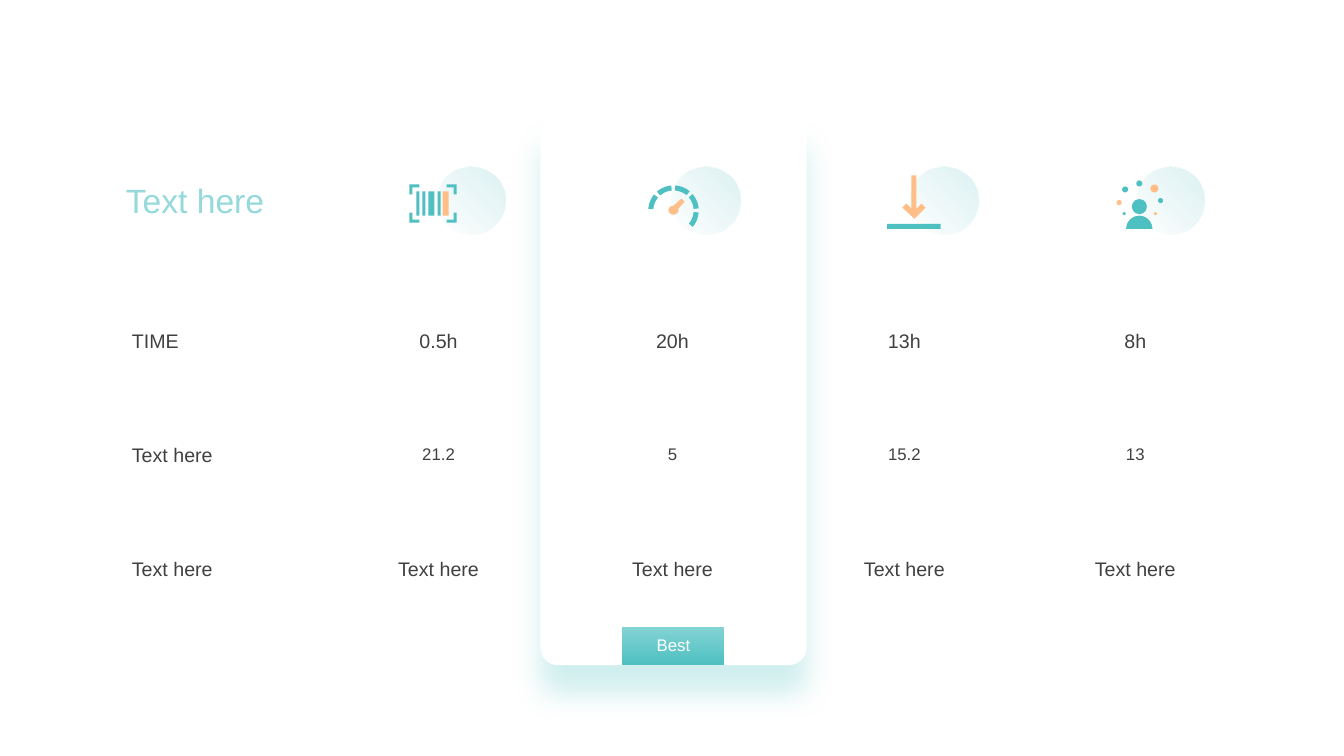
import math
from dataclasses import dataclass

from pptx import Presentation, util as u
from pptx.dml import color as c, fill as f
from pptx.enum import shapes as s, text as t
from pptx.oxml import ns, parse_xml
from pptx.shapes import autoshape as a, shapetree as tree

TEAL = c.RGBColor(0x4E, 0xC0, 0xC1)
TEAL_SOFT = c.RGBColor(0x83, 0xD3, 0xD4)
TEAL_PALE = c.RGBColor(0x95, 0xD9, 0xDA)
GLOW = c.RGBColor(0xDC, 0xF2, 0xF3)
ORANGE = c.RGBColor(0xFF, 0xBD, 0x87)
WHITE = c.RGBColor(0xFF, 0xFF, 0xFF)
GREY = c.RGBColor(0x40, 0x40, 0x40)
FONT = "Arial"
RECTANGLE = s.MSO_SHAPE.RECTANGLE
OVAL = s.MSO_SHAPE.OVAL
Points = list[tuple[float, float]]


@dataclass
class Column:
    center: float
    glow_left: float


@dataclass
class Row:
    label: str
    label_top: float
    top: float
    size: int
    values: list[str]
    widths: list[float]


@dataclass
class Dot:
    x: float
    y: float
    diameter: float
    color: c.RGBColor


COLUMNS = [Column(4.35, 4.33), Column(6.67, 6.66), Column(8.97, 9.02), Column(11.26, 11.27)]
LABEL_WIDTHS = {"TIME": 0.67, "Text here": 1.01}
ROWS = [
    Row("TIME", 3.21, 3.21, 14, ["0.5h", "20h", "13h", "8h"], [0.58, 0.53, 0.53, 0.42]),
    Row("Text here", 4.34, 4.35, 12, ["21.2", "5", "15.2", "13"], [0.53, 0.29, 0.53, 0.39]),
    Row("Text here", 5.48, 5.48, 14, ["Text here"] * 4, [1.01] * 4),
]
# Centre and diameter of the dots around the person, and of the head
DOTS = [
    Dot(11.30, 1.82, 0.06, TEAL), Dot(11.45, 1.87, 0.08, ORANGE),
    Dot(11.16, 1.88, 0.06, TEAL), Dot(11.51, 1.99, 0.05, TEAL),
    Dot(11.10, 2.01, 0.05, ORANGE), Dot(11.15, 2.12, 0.03, TEAL),
    Dot(11.46, 2.12, 0.03, ORANGE), Dot(11.30, 2.05, 0.15, TEAL),
]


def add_preset(parent: tree._BaseGroupShapes, kind: s.MSO_SHAPE, left: float, top: float,
               width: float, height: float, color: c.RGBColor) -> a.Shape:
    shape = parent.add_shape(kind, u.Inches(left), u.Inches(top), u.Inches(width), u.Inches(height))
    shape.shadow.inherit = False
    shape.fill.solid()
    shape.fill.fore_color.rgb = color
    shape.line.fill.background()
    return shape


def add_polygon(parent: tree._BaseGroupShapes, points: Points, color: c.RGBColor) -> None:
    vertices = [(u.Inches(x), u.Inches(y)) for x, y in points]
    builder = parent.build_freeform(*vertices[0], scale=1.0)
    builder.add_line_segments(vertices[1:], close=True)
    shape = builder.convert_to_shape()
    shape.shadow.inherit = False
    shape.fill.solid()
    shape.fill.fore_color.rgb = color
    shape.line.fill.background()


def arc_points(x: float, y: float, radius: float, start: int, end: int) -> Points:
    angles = [math.radians(start + (end - start) * step / 18) for step in range(19)]
    return [(x + radius * math.cos(angle), y + radius * math.sin(angle)) for angle in angles]


def set_gradient(fill: f.FillFormat, first: c.RGBColor, last: c.RGBColor, angle: int) -> None:
    fill.gradient()
    fill.gradient_angle = angle
    for stop, color in zip(fill.gradient_stops, (first, last)):
        stop.color.rgb = color


def add_label(slide_shapes: tree.SlideShapes, wording: str, left: float, top: float, width: float,
              size: int, color: c.RGBColor = GREY,
              align: t.PP_ALIGN = t.PP_ALIGN.CENTER) -> a.Shape:
    height = {12: 0.3, 14: 0.34, 24: 0.5}[size]
    box = slide_shapes.add_textbox(u.Inches(left), u.Inches(top), u.Inches(width), u.Inches(height))
    frame = box.text_frame
    frame.text = wording
    frame.word_wrap = False
    frame.auto_size = t.MSO_AUTO_SIZE.SHAPE_TO_FIT_TEXT
    paragraph = frame.paragraphs[0]
    paragraph.alignment = align
    font = paragraph.runs[0].font
    font.name, font.size, font.color.rgb = FONT, u.Pt(size), color
    return box


def add_card(slide_shapes: tree.SlideShapes) -> None:
    card = add_preset(slide_shapes, s.MSO_SHAPE.ROUNDED_RECTANGLE, 5.36, 1.16, 2.64, 5.44, WHITE)
    card.adjustments[0] = 0.067
    effects = card._element.spPr.find(ns.qn("a:effectLst"))
    effects.append(parse_xml(
        f'<a:outerShdw {ns.nsdecls("a")} blurRad="{u.Pt(20)}" dist="{u.Pt(20)}" dir="5400000" '
        f'algn="t" rotWithShape="0"><a:srgbClr val="{TEAL}"><a:alpha val="25000"/></a:srgbClr>'
        '</a:outerShdw>'))


def add_glow(slide_shapes: tree.SlideShapes, left: float) -> None:
    glow = add_preset(slide_shapes, OVAL, left, 1.65, 0.68, 0.68, GLOW)
    glow.rotation = 28.2
    set_gradient(glow.fill, GLOW, GLOW, 0)
    gradient = glow._element.spPr.find(ns.qn("a:gradFill"))
    last_color = gradient.findall(".//" + ns.qn("a:srgbClr"))[-1]
    last_color.append(parse_xml(f'<a:alpha {ns.nsdecls("a")} val="0"/>'))
    gradient.replace(gradient.find(ns.qn("a:lin")), parse_xml(
        f'<a:path {ns.nsdecls("a")} path="circle"><a:fillToRect l="100000" b="100000"/></a:path>'))


def add_barcode(icon: tree.GroupShapes) -> None:
    arm, thick = 0.1, 0.03
    for x, dx in ((4.06, 1), (4.53, -1)):
        for y, dy in ((1.83, 1), (2.21, -1)):
            corner = [(0, 0), (arm, 0), (arm, thick), (thick, thick), (thick, arm), (0, arm)]
            add_polygon(icon, [(x + dx * px, y + dy * py) for px, py in corner], TEAL)
    for left, width in ((4.13, 0.03), (4.19, 0.03), (4.25, 0.06), (4.34, 0.03)):
        add_preset(icon, RECTANGLE, left, 1.9, width, 0.24, TEAL)
    add_preset(icon, RECTANGLE, 4.39, 1.9, 0.06, 0.24, ORANGE)


def add_gauge(icon: tree.GroupShapes) -> None:
    x, y = 6.68, 2.09
    for start in range(184, 365, 45):
        outer = arc_points(x, y, 0.25, start, start + 36)
        inner = arc_points(x, y, 0.2, start + 36, start)
        add_polygon(icon, outer + inner, TEAL)
    add_polygon(icon, [(6.76, 1.97), (6.79, 2), (6.72, 2.08), (6.68, 2.04)], ORANGE)
    add_preset(icon, OVAL, 6.63, 2.04, 0.1, 0.09, ORANGE)


def add_download(icon: tree.GroupShapes) -> None:
    add_polygon(icon, [(9.04, 1.74), (9.09, 1.74), (9.09, 2.07), (9.14, 2.02), (9.18, 2.06),
                       (9.07, 2.17), (8.95, 2.06), (8.99, 2.02), (9.04, 2.07)], ORANGE)
    add_preset(icon, RECTANGLE, 8.8, 2.22, 0.53, 0.05, TEAL)


def add_person(icon: tree.GroupShapes) -> None:
    for dot in DOTS:
        radius = dot.diameter / 2
        add_preset(icon, OVAL, dot.x - radius, dot.y - radius, dot.diameter, dot.diameter, dot.color)
    add_polygon(icon, arc_points(11.3, 2.27, 0.13, 180, 360), TEAL)


def main() -> None:
    presentation = Presentation()
    presentation.slide_width = u.Inches(13.33)
    presentation.slide_height = u.Inches(7.5)
    slide = presentation.slides.add_slide(presentation.slide_layouts[6])

    # Highlighted column and icon backgrounds
    add_card(slide.shapes)
    for column in COLUMNS:
        add_glow(slide.shapes, column.glow_left)

    # Heading
    heading = add_label(slide.shapes, "Text here", 1.15, 1.74, 1.59, 24, TEAL_PALE, t.PP_ALIGN.LEFT)
    heading_font = heading.text_frame.paragraphs[0].runs[0].font
    set_gradient(heading_font.fill, TEAL_PALE, TEAL, 315)

    # Comparison rows
    for row in ROWS:
        add_label(slide.shapes, row.label, 1.21, row.label_top, LABEL_WIDTHS[row.label], 14,
                  align=t.PP_ALIGN.LEFT)
        for column, value, width in zip(COLUMNS, row.values, row.widths):
            add_label(slide.shapes, value, column.center - width / 2, row.top, width, row.size)

    # Badge
    badge = add_preset(slide.shapes, RECTANGLE, 6.17, 6.22, 1.01, 0.38, TEAL)
    set_gradient(badge.fill, TEAL_SOFT, TEAL, 270)
    add_label(slide.shapes, "Best", 6.41, 6.25, 0.54, 12, WHITE)

    # Icons
    for draw_icon in (add_barcode, add_gauge, add_download, add_person):
        draw_icon(slide.shapes.add_group_shape().shapes)

    presentation.save("out.pptx")


if __name__ == "__main__":
    main()
